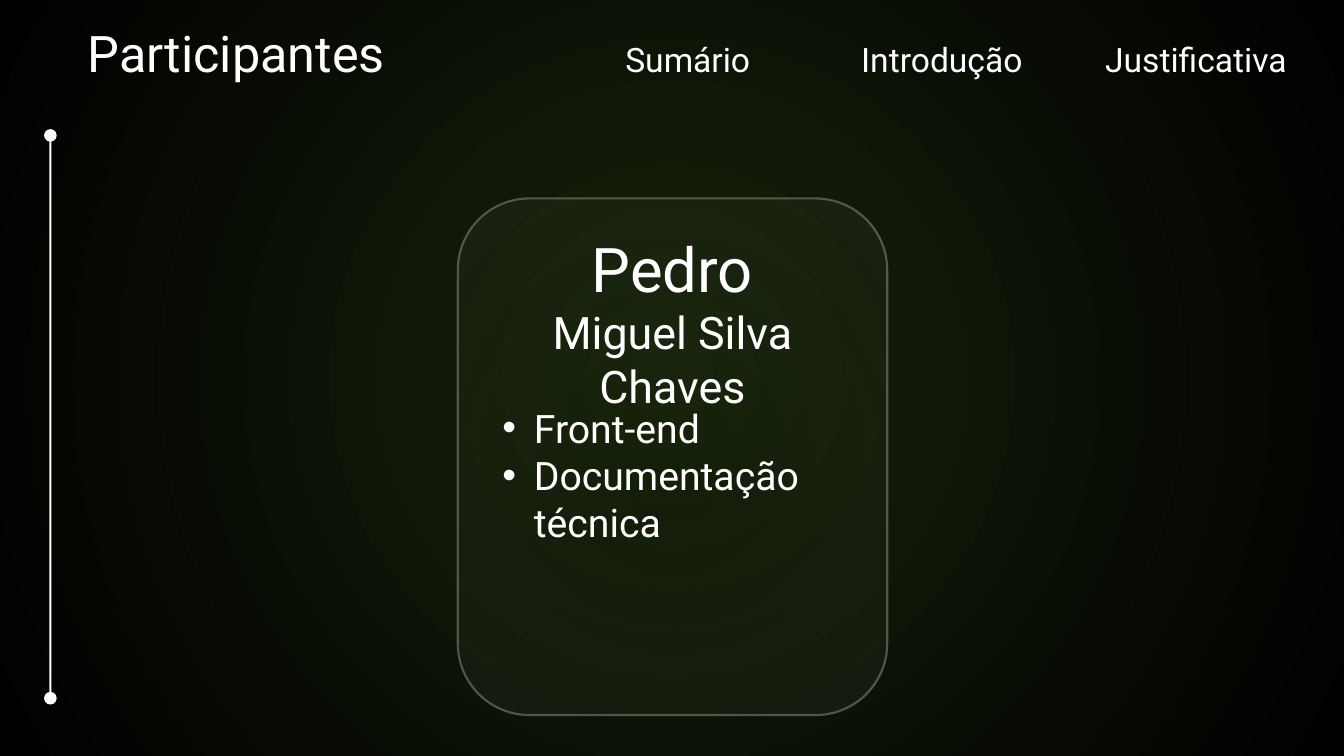
from lxml import etree
from pptx import Presentation
from pptx.dml.color import RGBColor
from pptx.enum.shapes import MSO_SHAPE
from pptx.enum.text import MSO_ANCHOR, MSO_AUTO_SIZE, PP_ALIGN
from pptx.oxml import parse_xml
from pptx.oxml.ns import nsdecls, qn
from pptx.util import Pt

PX = 9525  # EMU per px, 96 px to the inch
COLORS = {"white": "FFFFFF", "forest": "17230B", "black": "000000", "mist": "E4EFD1"}
FONT = "Roboto"
LEFT, CENTER = PP_ALIGN.LEFT, PP_ALIGN.CENTER
TOP = MSO_ANCHOR.TOP
GROW = MSO_AUTO_SIZE.SHAPE_TO_FIT_TEXT
OVAL, RECTANGLE, ROUNDED = MSO_SHAPE.OVAL, MSO_SHAPE.RECTANGLE, MSO_SHAPE.ROUNDED_RECTANGLE


def px(*lengths):
    return [length * PX for length in lengths]


def color(name):
    return RGBColor.from_string(COLORS[name])


def set_radial_fill(fill, element, stops):
    """Fill from the centre outwards; stops are (position %, colour, opacity %)."""
    fill.gradient()
    stop_list = "".join(
        f'<a:gs pos="{position * 1000}"><a:srgbClr val="{COLORS[name]}">'
        f'<a:alpha val="{opacity * 1000}"/></a:srgbClr></a:gs>'
        for position, name, opacity in stops)
    gradient = parse_xml(
        f'<a:gradFill {nsdecls("a")} rotWithShape="1"><a:gsLst>{stop_list}</a:gsLst>'
        '<a:path path="circle"><a:fillToRect l="50000" t="50000" r="50000" b="50000"/>'
        '</a:path></a:gradFill>')
    previous = element.find(".//" + qn("a:gradFill"))
    previous.getparent().replace(previous, gradient)


def add_bullet(paragraph, indent=30):
    properties = paragraph._p.get_or_add_pPr()
    properties.set("marL", str(indent * PX))
    properties.set("indent", str(-indent * PX))
    etree.SubElement(properties, qn("a:buFont")).set("typeface", "Arial")
    etree.SubElement(properties, qn("a:buChar")).set("char", "•")


def write_text(shape, *lines, sizes, align=LEFT, bullet=False):
    frame = shape.text_frame
    frame.word_wrap = True
    frame.auto_size = GROW
    frame.vertical_anchor = TOP
    for index, (line, size) in enumerate(zip(lines, sizes)):
        paragraph = frame.add_paragraph() if index else frame.paragraphs[0]
        paragraph.text = line
        paragraph.alignment = align
        paragraph.line_spacing = 1.0
        if bullet:
            add_bullet(paragraph)
        paragraph.font.name = FONT
        paragraph.font.size = Pt(size)
        paragraph.font.color.rgb = color("white")


def add_white_shape(shapes, kind, *box):
    shape = shapes.add_shape(kind, *px(*box))
    shape.shadow.inherit = False
    shape.fill.solid()
    shape.fill.fore_color.rgb = color("white")
    shape.line.fill.background()
    return shape


def add_header(slide, left, top, text):
    title = slide.shapes.title
    title.left, title.top, title.width, title.height = px(left, top, 420, 68)
    write_text(title, text, sizes=[36])


def add_navigation(slide, left, top, labels):
    for index, label in enumerate(labels):
        box = slide.shapes.add_textbox(*px(left + index * 242, top, 256, 48))
        write_text(box, label, sizes=[24], align=CENTER)


def add_side_rule(slide, left, top, height, dot=12, thickness=2):
    for dot_top in (top, top + height - dot):
        add_white_shape(slide.shapes, OVAL, left, dot_top, dot, dot)
    add_white_shape(slide.shapes, RECTANGLE, left + (dot - thickness) // 2,
                    top + dot // 2, thickness, height - dot)


def add_member_card(slide, left, top, width, height, name, surname, roles):
    shapes = slide.shapes.add_group_shape().shapes
    # Glass panel
    panel = add_white_shape(shapes, ROUNDED, left, top, width, height)
    set_radial_fill(panel.fill, panel.element, [(0, "white", 0), (100, "mist", 5)])
    panel.line.color.rgb = color("white")
    panel.line.width = Pt(1.5)
    line_color = panel.element.find(".//" + qn("a:ln")).find(".//" + qn("a:srgbClr"))
    etree.SubElement(line_color, qn("a:alpha")).set("val", "25000")
    # Name and roles
    name_box = shapes.add_textbox(*px(left + 40, top + 26, width - 80, 132))
    write_text(name_box, name, surname, sizes=[44, 32], align=CENTER)
    role_box = shapes.add_textbox(*px(left + 33, top + 191, width - 66, 145))
    write_text(role_box, *roles, sizes=[28] * len(roles), bullet=True)


def main():
    presentation = Presentation()
    presentation.slide_width, presentation.slide_height = px(1280, 720)
    slide = presentation.slides.add_slide(presentation.slide_layouts[5])
    set_radial_fill(slide.background.fill, slide.element,
                    [(0, "forest", 100), (100, "black", 100)])
    add_header(slide, 74, 16, "Participantes")
    add_navigation(slide, 527, 32, ["Sumário", "Introdução", "Justificativa"])
    add_side_rule(slide, 42, 123, 548)
    add_member_card(slide, 436, 189, 409, 492, "Pedro", "Miguel Silva Chaves",
                    ["Front-end", "Documentação técnica"])
    presentation.save("out.pptx")


if __name__ == "__main__":
    main()
